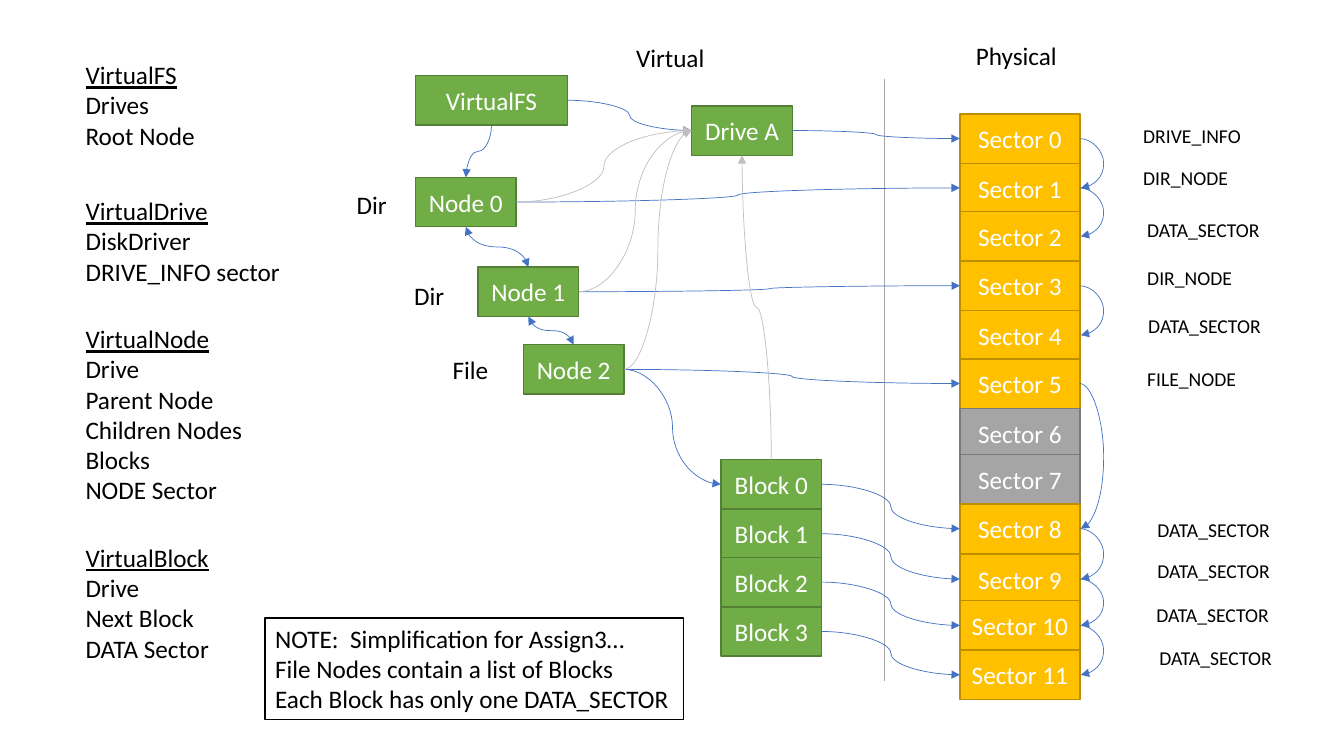
from dataclasses import dataclass

from lxml.etree import SubElement
from pptx import Presentation
from pptx.dml.color import RGBColor
from pptx.enum.shapes import MSO_CONNECTOR as Route, MSO_SHAPE as Preset
from pptx.enum.text import MSO_ANCHOR as Anchor, MSO_AUTO_SIZE as Fit, PP_ALIGN as Align
from pptx.oxml.ns import qn
from pptx.util import Inches, Pt


@dataclass(frozen=True)
class Theme:
    font: str = "Calibri"
    body: int = 18
    small: int = 14
    ink: str = "000000"
    paper: str = "FFFFFF"
    virtual: tuple = ("70AD47", "538035")
    used: tuple = ("FFC000", "BD8E00")
    free: tuple = ("A5A5A5", "7A7A7A")
    note: tuple = ("FFFFFF", "000000")
    divider: str = "A5A5A5"
    flow: str = "4472C4"
    back: str = "BFBFBF"


theme = Theme()
TOP, LEFT, BOTTOM, RIGHT = range(4)

deck = Presentation()
deck.slide_width, deck.slide_height = Inches(13.33), Inches(7.5)
slide = deck.slides.add_slide(deck.slide_layouts[6])


def place(lines, at, colors=None, size=theme.body, headed=False):
    """Add a coloured box, or plain text when no colours are given."""
    area = [Inches(v) for v in at]
    if colors:
        item = slide.shapes.add_shape(Preset.RECTANGLE, *area)
        item.shadow.inherit = False
        item.fill.solid()
        item.fill.fore_color.rgb = RGBColor.from_string(colors[0])
        item.line.color.rgb = RGBColor.from_string(colors[1])
        item.line.width = Pt(1)
    else:
        item = slide.shapes.add_textbox(*area)
    centred = colors not in (None, theme.note)
    frame = item.text_frame
    frame.word_wrap = centred
    frame.auto_size = Fit.NONE if centred else Fit.SHAPE_TO_FIT_TEXT
    frame.vertical_anchor = Anchor.MIDDLE if centred else Anchor.TOP
    for row, words in enumerate(lines):
        paragraph = frame.add_paragraph() if row else frame.paragraphs[0]
        paragraph.alignment = Align.CENTER if centred else Align.LEFT
        run = paragraph.add_run()
        run.text = words
        run.font.name, run.font.size = theme.font, Pt(size)
        run.font.underline = headed and row == 0
        run.font.color.rgb = RGBColor.from_string(theme.paper if centred else theme.ink)
    return item


def link(source, exit_side, target, entry_side, color=theme.flow, both_ways=False):
    """Join two boxes with a curved arrow."""
    curve = slide.shapes.add_connector(Route.CURVE, 0, 0, 0, 0)
    curve.begin_connect(source, exit_side)
    curve.end_connect(target, entry_side)
    curve.line.color.rgb = RGBColor.from_string(color)
    curve.line.width = Pt(0.5)
    properties = curve._element.spPr
    frame = properties.find(qn("a:xfrm"))
    outline = properties.find(qn("a:ln"))
    for end in ("a:headEnd", "a:tailEnd") if both_ways else ("a:tailEnd",):
        SubElement(outline, qn(end), type="triangle")
    SubElement(properties, qn("a:effectLst"))

    if exit_side in (TOP, BOTTOM):
        # A curve that leaves vertically is a turned horizontal one
        dx, dy = curve.end_x - curve.begin_x, curve.end_y - curve.begin_y
        mid_x, mid_y = curve.begin_x + dx // 2, curve.begin_y + dy // 2
        curve.width, curve.height = abs(dy), abs(dx)
        curve.left, curve.top = mid_x - abs(dy) // 2, mid_y - abs(dx) // 2
        quarter = dx < 0 < dy
        frame.set("rot", str((90 if quarter else 270) * 60000))
        frame.set("flipH", str(int(dy > 0 and not quarter)))
        frame.set("flipV", str(int(dy < 0)))
    elif exit_side == entry_side:
        # A side loop bulges a quarter inch to the right of a very narrow frame
        curve.width = Inches(0.01)
        frame.set("flipH", "0")
        guides = properties.find(qn("a:prstGeom")).get_or_add_avLst()
        SubElement(guides, qn("a:gd"), name="adj1", fmla="val 2400000")


# Divider and headings
divider = slide.shapes.add_connector(
    Route.STRAIGHT, Inches(8.77), Inches(0.78), Inches(8.77), Inches(6.76))
divider.line.color.rgb = RGBColor.from_string(theme.divider)
divider.line.width = Pt(0.5)
SubElement(divider._element.spPr, qn("a:effectLst"))
place(["Virtual"], (6.21, 0.37, 0.89, 0.4))
place(["Physical"], (9.58, 0.35, 1.01, 0.4))

# Class summaries
summaries = [
    (0.54, 1.3, 1.01, ["VirtualFS", "Drives", "Root Node"]),
    (1.89, 2.15, 1.01, ["VirtualDrive", "DiskDriver", "DRIVE_INFO sector"]),
    (3.16, 1.77, 1.92, ["VirtualNode", "Drive", "Parent Node", "Children Nodes",
                        "Blocks", "NODE Sector"]),
    (5.33, 1.44, 1.31, ["VirtualBlock", "Drive", "Next Block", "DATA Sector"]),
]
for top, width, height, members in summaries:
    place(members, (0.75, top, width, height), headed=True)

# Virtual objects
file_system = place(["VirtualFS"], (4.12, 0.75, 1.51, 0.49), theme.virtual)
drive = place(["Drive A"], (6.86, 1.05, 1, 0.49), theme.virtual)
nodes = [place([f"Node {n}"], (left, top, 1, 0.49), theme.virtual)
         for n, (left, top) in enumerate([(4.12, 1.76), (4.74, 2.65), (5.19, 3.42)])]
blocks = [place([f"Block {n}"], (7.15, round(4.56 + 0.487 * n, 2), 1, 0.49), theme.virtual)
          for n in range(4)]
for kind, left, top, width in [("Dir", 3.44, 1.83, 0.5), ("Dir", 4.01, 2.73, 0.5),
                               ("File", 4.39, 3.47, 0.56)]:
    place([kind], (left, top, width, 0.4))

# Physical sectors
sector_tops = [1.13, 1.62, 2.1, 2.59, 3.08, 3.56, 4.05, 4.51, 5, 5.5, 5.96, 6.45]
sectors = [place([f"Sector {n}"], (9.52, top, 1.19, 0.49),
                 theme.free if n in (6, 7) else theme.used)
           for n, top in enumerate(sector_tops)]

# Sector contents
contents = [
    ("DRIVE_INFO", 11.24, 1.18), ("DIR_NODE", 11.24, 1.6), ("DATA_SECTOR", 11.28, 2.11),
    ("DIR_NODE", 11.28, 2.59), ("DATA_SECTOR", 11.29, 3.07), ("FILE_NODE", 11.28, 3.59),
    ("DATA_SECTOR", 11.38, 5.09), ("DATA_SECTOR", 11.38, 5.5),
    ("DATA_SECTOR", 11.37, 5.93), ("DATA_SECTOR", 11.4, 6.36),
]
for content, left, top in contents:
    place([content], (left, top, 1.33, 0.34), size=theme.small)

# Links among virtual objects
link(file_system, BOTTOM, nodes[0], TOP)
link(file_system, RIGHT, drive, LEFT)
for parent, child in zip(nodes, nodes[1:]):
    link(parent, BOTTOM, child, TOP, both_ways=True)
link(nodes[2], RIGHT, blocks[0], LEFT)

# Links from virtual objects to their sectors
stored = [(drive, 0), (nodes[0], 1), (nodes[1], 3), (nodes[2], 5)]
stored += [(block, 8 + n) for n, block in enumerate(blocks)]
for owner, number in stored:
    link(owner, RIGHT, sectors[number], LEFT)

# Chains of sectors
for first, second in [(0, 1), (1, 2), (3, 4), (5, 8), (8, 9), (9, 10), (10, 11)]:
    link(sectors[first], RIGHT, sectors[second], RIGHT)

# Back references to the drive
for node in nodes:
    link(node, RIGHT, drive, LEFT, theme.back)
link(blocks[0], TOP, drive, BOTTOM, theme.back)

# Note
place(["NOTE:  Simplification for Assign3…", "File Nodes contain a list of Blocks",
       "Each Block has only one DATA_SECTOR"], (2.63, 6.13, 4.15, 1.01), theme.note)

deck.save("out.pptx")
